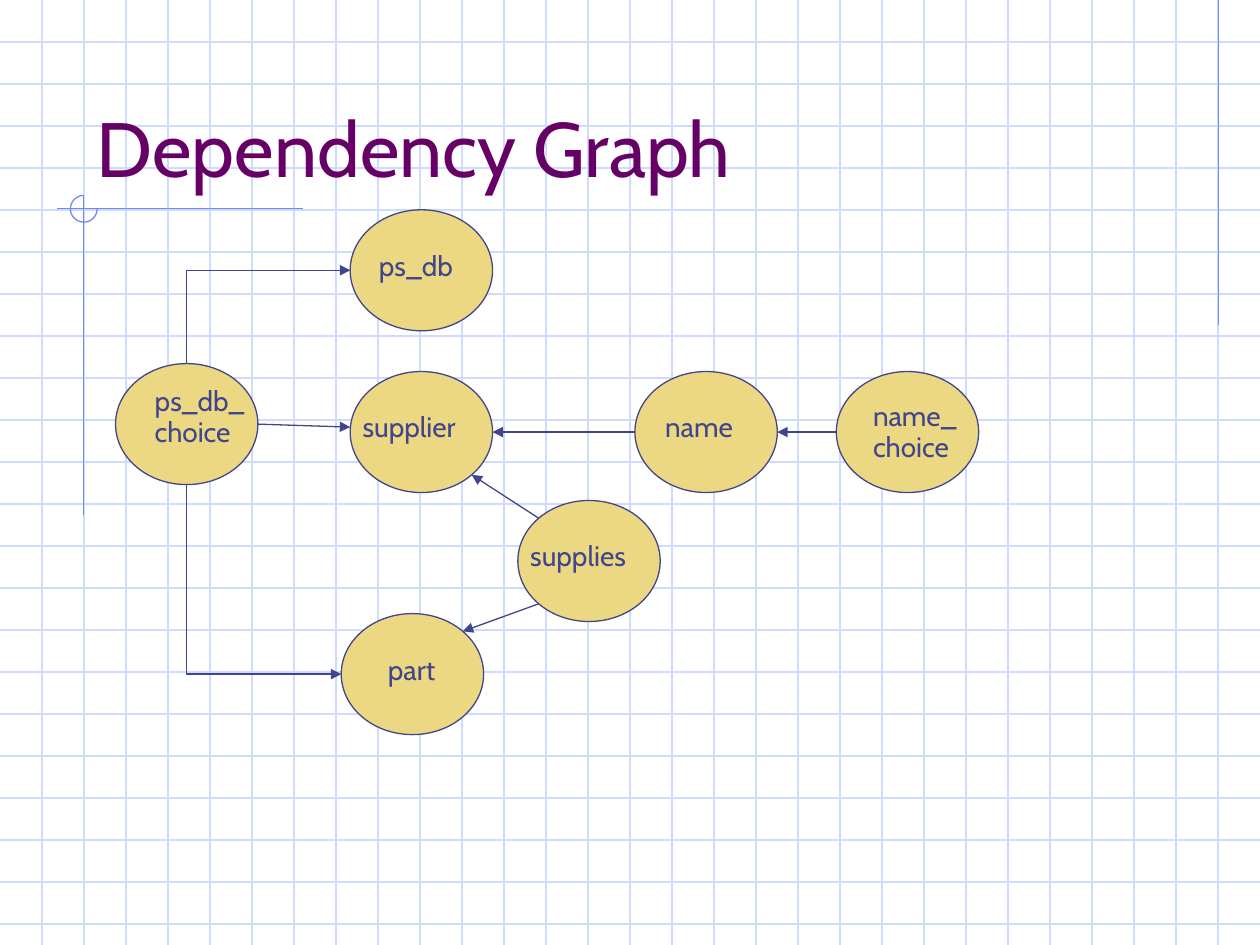
from dataclasses import dataclass
from math import sqrt

from lxml import etree
from pptx import Presentation
from pptx import util as u
from pptx.dml.color import RGBColor
from pptx.enum import shapes, text
from pptx.oxml.ns import qn

COLORS = {"grid": "CFDBFD", "accent": "6F89F7", "title": "660066",
          "ink": "40458C", "node": "ECD882"}
FONT = "Cabin"

# All lengths are centimetres
SLIDE_W, SLIDE_H = 25.4, 19.05
GRID_STEP = SLIDE_W / 30
NODE_W, NODE_H = 2.87, 2.44
DIAGONAL = 1 / sqrt(2)


@dataclass
class Node:
    lines: list[str]
    left: float
    top: float
    label_left: float
    label_top: float
    label_width: float

    def rim(self, dx: float, dy: float) -> tuple[float, float]:
        """Point on the ellipse in direction (dx, dy), a unit vector."""
        return (self.left + NODE_W / 2 * (1 + dx),
                self.top + NODE_H / 2 * (1 + dy))


def rgb(name: str) -> RGBColor:
    return RGBColor.from_string(COLORS[name])


def add_line(parent, start, end, color: str, arrow: bool = False,
             kind=shapes.MSO_CONNECTOR.STRAIGHT):
    ends = [u.Cm(value) for value in (*start, *end)]
    line = parent.add_connector(kind, *ends)
    line.line.color.rgb = rgb(color)
    line.line.width = u.Pt(0.75)
    if arrow:
        outline = line.line._get_or_add_ln()
        etree.SubElement(outline, qn("a:tailEnd"), type="triangle")
    etree.SubElement(line._element.spPr, qn("a:effectLst"))
    return line


def add_corner_arrow(parent, start, end) -> None:
    """Arrow that runs vertically from start, then right to end."""
    corner = add_line(parent, start, end, "ink", True,
                      shapes.MSO_CONNECTOR.ELBOW)
    (x1, y1), (x2, y2) = start, end
    across, along = x2 - x1, abs(y2 - y1)
    upward = y2 < y1
    # The one-bend preset starts sideways, so it is turned a quarter
    corner._element.spPr.find(qn("a:prstGeom")).set("prst", "bentConnector2")
    corner.left = u.Cm((x1 + x2 - along) / 2)
    corner.top = u.Cm((y1 + y2 - across) / 2)
    corner.width, corner.height = u.Cm(along), u.Cm(across)
    xfrm = corner._element.spPr.find(qn("a:xfrm"))
    xfrm.set("rot", str((90 if upward else 270) * 60000))
    xfrm.set("flipH", "1")
    xfrm.set("flipV", "1" if upward else "0")


def add_node(parent, node: Node) -> None:
    ellipse = parent.add_shape(shapes.MSO_SHAPE.OVAL, u.Cm(node.left),
                               u.Cm(node.top), u.Cm(NODE_W), u.Cm(NODE_H))
    ellipse.shadow.inherit = False
    ellipse.fill.solid()
    ellipse.fill.fore_color.rgb = rgb("node")
    ellipse.line.color.rgb = rgb("ink")
    ellipse.line.width = u.Pt(0.75)

    height = 0.94 if len(node.lines) == 1 else 1.17
    label = parent.add_textbox(u.Cm(node.label_left), u.Cm(node.label_top),
                               u.Cm(node.label_width), u.Cm(height))
    frame = label.text_frame
    frame.word_wrap = True
    frame.text = "\n".join(node.lines)
    for index, paragraph in enumerate(frame.paragraphs):
        if len(node.lines) > 1:
            paragraph.line_spacing = 0.4
        if index:
            paragraph.space_before = u.Pt(10)
        for run in paragraph.runs:
            run.font.name, run.font.size = FONT, u.Pt(16)
            run.font.color.rgb = rgb("ink")


def add_background(slide) -> None:
    grid = slide.shapes.add_group_shape().shapes
    for row in range(1, 23):
        y = row * GRID_STEP
        add_line(grid, (0, y), (SLIDE_W, y), "grid")
    for column in range(1, 30):
        x = column * GRID_STEP
        add_line(grid, (x, 0), (x, SLIDE_H), "grid")

    # Accent lines and the open circle where they cross
    for start, end in [((24.56, 0), (24.56, 6.55)),
                       ((6.1, 4.2), (1.14, 4.2)),
                       ((1.69, 3.94), (1.69, 10.39))]:
        add_line(grid, start, end, "accent")
    circle = grid.add_shape(shapes.MSO_SHAPE.ARC, u.Cm(1.42), u.Cm(3.94),
                            u.Cm(0.54), u.Cm(0.54))
    circle.adjustments[0] = 0
    circle.adjustments[1] = 162  # 270 degrees
    circle.shadow.inherit = False
    circle.fill.background()
    circle.line.color.rgb = rgb("accent")
    circle.line.width = u.Pt(0.75)


def add_title(slide, wording: str) -> None:
    title = slide.shapes.title
    title.left, title.top = u.Cm(1.7), u.Cm(0.84)
    title.width, title.height = u.Cm(21.59), u.Cm(3.18)
    frame = title.text_frame
    frame.text = wording
    frame.auto_size = text.MSO_AUTO_SIZE.NONE
    frame.vertical_anchor = text.MSO_ANCHOR.BOTTOM
    heading = frame.paragraphs[0]
    heading.alignment = text.PP_ALIGN.LEFT
    font = heading.runs[0].font
    font.name, font.size = FONT, u.Pt(44)
    font.color.rgb = rgb("title")
    # Bring the title in front of the grid
    slide.shapes._spTree.append(title._element)


def main() -> None:
    prs = Presentation()
    prs.slide_width, prs.slide_height = u.Cm(SLIDE_W), u.Cm(SLIDE_H)
    slide = prs.slides.add_slide(prs.slide_layouts[5])
    add_background(slide)
    add_title(slide, "Dependency Graph")

    # Nodes
    part = Node(["part"], 6.88, 12.37, 7.57, 13.03, 1.85)
    supplier = Node(["supplier"], 7.06, 7.49, 7.06, 8.13, 2.87)
    name = Node(["name"], 12.8, 7.49, 13.16, 8.13, 2.18)
    supplies = Node(["supplies"], 10.44, 10.09, 10.44, 10.74, 2.87)
    ps_db = Node(["ps_db"], 7.06, 4.23, 7.39, 4.88, 2.36)
    name_choice = Node(["name_", "choice"], 16.86, 7.49, 17.35, 8.26, 2.29)
    ps_db_choice = Node(["ps_db_", "choice"], 2.33, 7.33, 2.87, 7.95, 2.62)
    for node in (part, supplier, name, supplies, ps_db,
                 name_choice, ps_db_choice):
        add_node(slide.shapes, node)

    # Dependencies
    for start, end in [
        (supplies.rim(-DIAGONAL, DIAGONAL), part.rim(DIAGONAL, -DIAGONAL)),
        (supplies.rim(-DIAGONAL, -DIAGONAL), supplier.rim(DIAGONAL, DIAGONAL)),
        (ps_db_choice.rim(1, 0), (supplier.left, 8.61)),
        (name_choice.rim(-1, 0), name.rim(1, 0)),
        (name.rim(-1, 0), supplier.rim(1, 0)),
    ]:
        add_line(slide.shapes, start, end, "ink", arrow=True)
    add_corner_arrow(slide.shapes, ps_db_choice.rim(0, 1), part.rim(-1, 0))
    add_corner_arrow(slide.shapes, ps_db_choice.rim(0, -1), ps_db.rim(-1, 0))

    prs.save("out.pptx")


if __name__ == "__main__":
    main()
